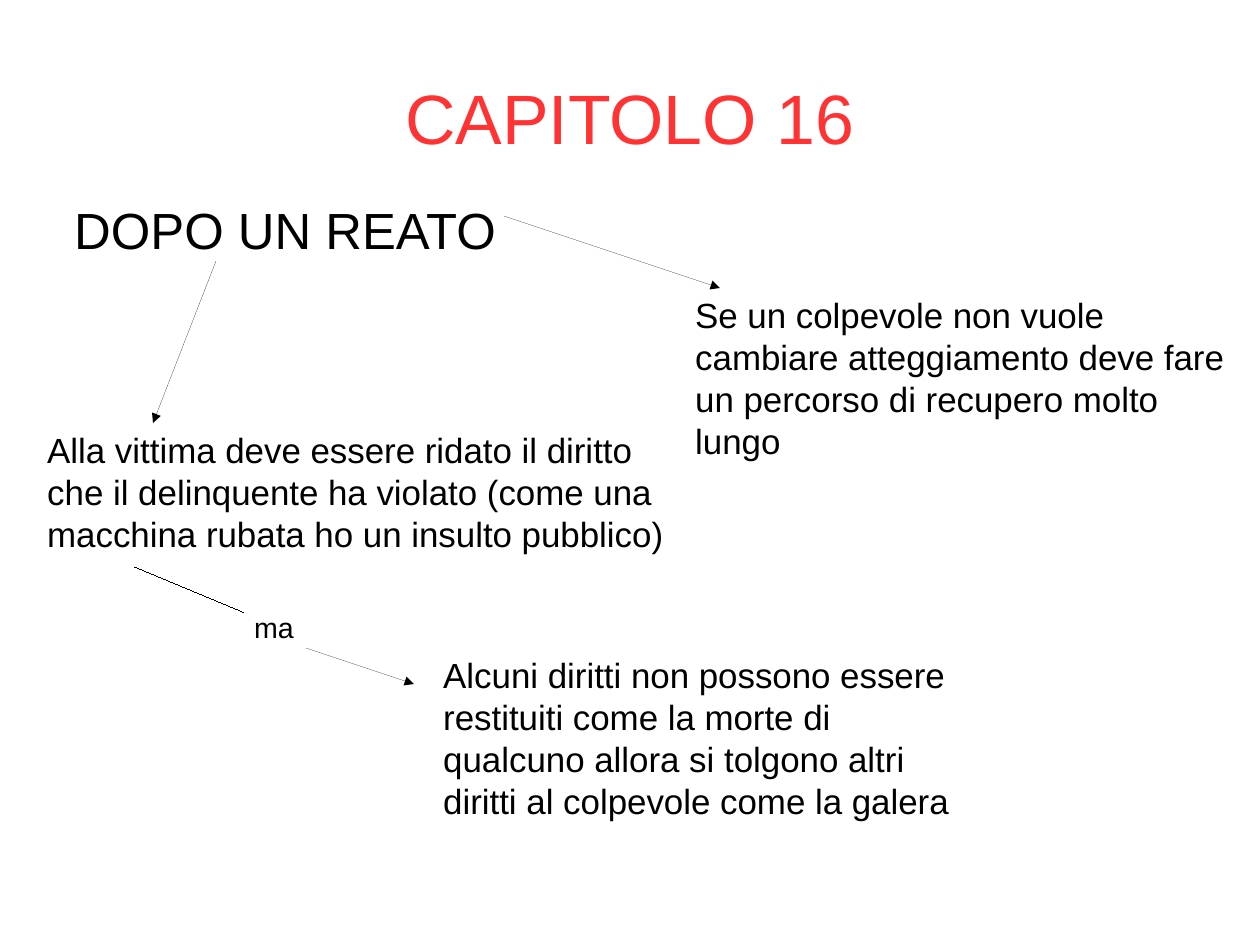
from lxml import etree
from pptx import Presentation
from pptx.dml.color import RGBColor
from pptx.enum.shapes import MSO_CONNECTOR
from pptx.enum.text import MSO_ANCHOR, PP_ALIGN
from pptx.oxml.ns import qn
from pptx.util import Emu, Pt

STRAIGHT = MSO_CONNECTOR.STRAIGHT
TOP, MIDDLE = MSO_ANCHOR.TOP, MSO_ANCHOR.MIDDLE
LEFT, CENTER = PP_ALIGN.LEFT, PP_ALIGN.CENTER


def px(length):
    """Turn px, 45 to the centimetre, into EMU."""
    return Emu(length * 8000)


def color(hex_string):
    return RGBColor.from_string(hex_string)


class ConceptMap:
    """Holds the text style and the slide that is being filled."""

    font_name = "Arial"
    ink = "000000"

    def __init__(self, slide):
        self.slide = slide

    def text(self, wording, left, top, width, height, size, ink=ink,
             align=LEFT, anchor=TOP):
        box = self.slide.shapes.add_textbox(px(left), px(top), px(width), px(height))
        frame = box.text_frame
        frame.word_wrap = True
        frame.vertical_anchor = anchor
        paragraph = frame.paragraphs[0]
        paragraph.text = wording
        paragraph.alignment = align
        paragraph.font.name = self.font_name
        paragraph.font.size = Pt(size)
        paragraph.font.color.rgb = color(ink)

    def line(self, start, end, arrow=True):
        """Draw a hairline, with an arrowhead at its end if wanted."""
        link = self.slide.shapes.add_connector(STRAIGHT, *map(px, start + end))
        link.line.color.rgb = color(self.ink)
        properties = link._element.spPr
        outline = properties.find(qn("a:ln"))
        outline.set("w", "0")
        if arrow:
            etree.SubElement(outline, qn("a:tailEnd"), type="triangle")
        etree.SubElement(properties, qn("a:effectLst"))


def main():
    presentation = Presentation()
    presentation.slide_width, presentation.slide_height = px(1260), px(945)
    blank_layout = presentation.slide_layouts[6]
    concept_map = ConceptMap(presentation.slides.add_slide(blank_layout))

    concept_map.text("CAPITOLO 16", 63, 38, 1134, 158, 44, ink="FF3333",
                     align=CENTER, anchor=MIDDLE)
    concept_map.text("DOPO UN REATO", 63, 193, 549, 69, 32)

    concept_map.line((216, 261), (153, 423))
    concept_map.text("Alla vittima deve essere ridato il diritto che il delinquente "
                     "ha violato (come una macchina rubata ho un insulto pubblico)",
                     36, 423, 666, 128, 22)

    concept_map.line((135, 567), (243, 612), arrow=False)
    concept_map.text("ma", 243, 604, 189, 43, 18)
    concept_map.line((306, 648), (414, 684))
    concept_map.text("Alcuni diritti non possono essere restituiti come la morte di "
                     "qualcuno allora si tolgono altri diritti al colpevole come la galera",
                     432, 648, 540, 168, 22)

    concept_map.text("Se un colpevole non vuole cambiare atteggiamento deve fare "
                     "un percorso di recupero molto lungo",
                     684, 288, 576, 168, 22)
    concept_map.line((504, 216), (720, 288))

    presentation.save("out.pptx")


if __name__ == "__main__":
    main()
